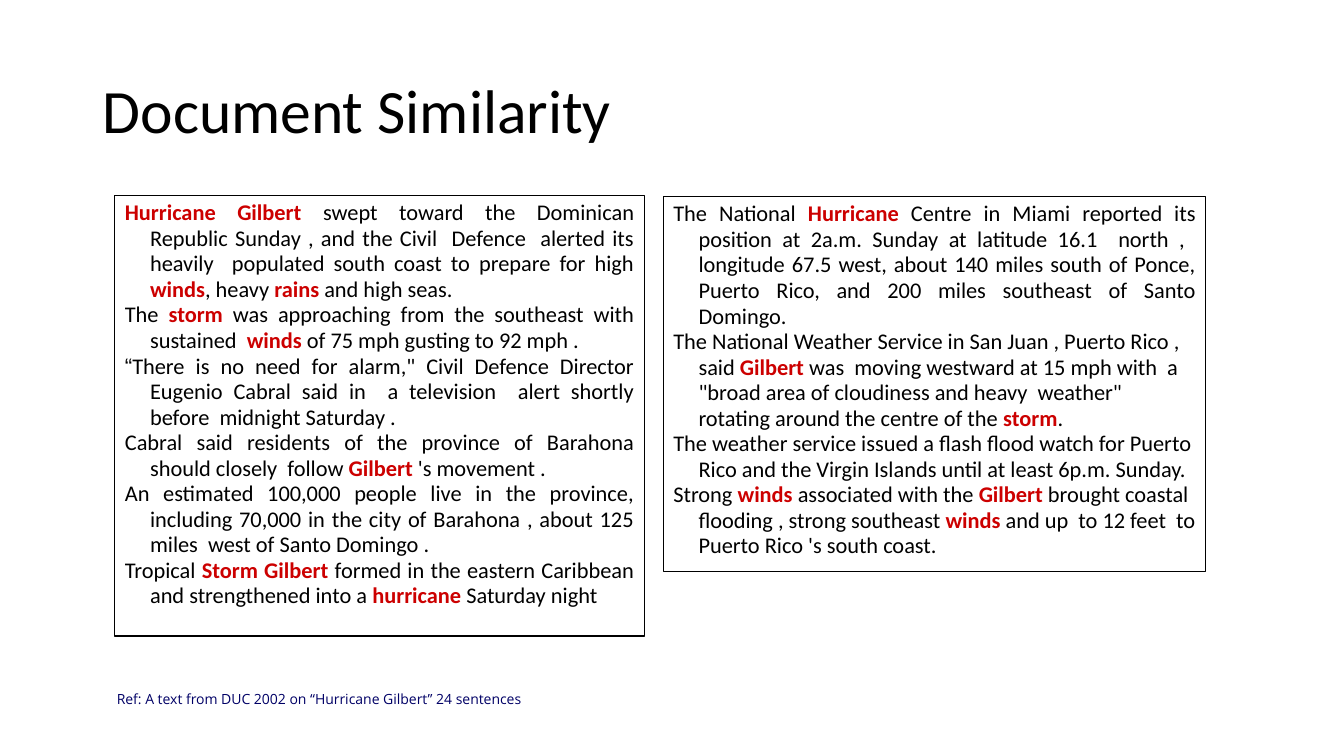
"""Build the Document Similarity slide with two passages and marked keywords."""
from pptx import Presentation
from pptx.dml.color import RGBColor
from pptx.enum.shapes import MSO_SHAPE
from pptx.enum.text import MSO_ANCHOR, PP_ALIGN
from pptx.util import Inches, Pt

BLACK = RGBColor(0x00, 0x00, 0x00)
RED = RGBColor(0xCC, 0x00, 0x00)
NAVY = RGBColor(0x00, 0x00, 0x66)
JUSTIFY, LEFT = PP_ALIGN.JUSTIFY, PP_ALIGN.LEFT

TITLE = "Document Similarity"
REFERENCE = "Ref: A text from DUC 2002 on “Hurricane Gilbert” 24 sentences"
KEYWORD_MARK = "*"
PASSAGES = [
    ((1.14, 1.94, 5.25, 4.37), [
        (JUSTIFY, "*Hurricane Gilbert *swept toward the Dominican Republic Sunday , and the Civil  Defence  "
                  "alerted its heavily  populated south coast to prepare for high *winds*, heavy *rains* "
                  "and high seas. "),
        (JUSTIFY, "The *storm *was approaching from the southeast with sustained  *winds* of 75 mph "
                  "gusting to 92 mph . "),
        (JUSTIFY, "“**There is no need for alarm,\" Civil Defence Director Eugenio Cabral said in  "
                  "a television  alert shortly before  midnight Saturday . "),
        (JUSTIFY, "Cabral said residents of the province of Barahona should closely  follow *Gilbert* "
                  "'s movement . "),
        (JUSTIFY, "An estimated 100,000 people live in the province, including 70,000 in the city of "
                  "Barahona , about 125 miles  west of Santo Domingo . "),
        (JUSTIFY, "Tropical *Storm Gilbert* formed in the eastern Caribbean and strengthened into a "
                  "*hurricane *Saturday night "),
    ]),
    ((6.58, 1.95, 5.38, 3.72), [
        (JUSTIFY, "The National *Hurricane* Centre in Miami reported its position at 2a.m. Sunday at "
                  "latitude 16.1  north ,  longitude 67.5 west, about 140 miles south of Ponce, "
                  "Puerto Rico, and 200 miles southeast of Santo Domingo. "),
        (LEFT, "The National Weather Service in San Juan , Puerto Rico , said *Gilbert* was  moving "
               "westward at 15 mph with  a \"broad area of cloudiness and heavy  weather\" rotating "
               "around the centre of the *storm*."),
        (LEFT, "The weather service issued a flash flood watch for Puerto Rico and the Virgin Islands "
               "until at least 6p.m. Sunday."),
        (LEFT, "Strong *winds* associated with the *Gilbert* brought coastal flooding , strong "
               "southeast *winds* and up  to 12 feet  to Puerto Rico 's south coast."),
    ]),
]


def write(sp, lines, size, font="Calibri", color=BLACK, spacing=0.95, hang=0, anchor=MSO_ANCHOR.TOP):
    tf = sp.text_frame
    tf.word_wrap = True
    tf.vertical_anchor = anchor
    for i, (align, line) in enumerate(lines):
        p = tf.paragraphs[0] if i == 0 else tf.add_paragraph()
        p.alignment = align
        p.line_spacing = spacing
        if hang:
            pPr = p._p.get_or_add_pPr()
            pPr.set("marL", str(Inches(hang)))
            pPr.set("indent", str(-Inches(hang)))
        for j, part in enumerate(line.split(KEYWORD_MARK)):
            if part:
                r = p.add_run()
                r.text = part
                r.font.name = "Arial" if part == "“" else font
                r.font.size = Pt(size)
                r.font.bold = j % 2 == 1
                r.font.color.rgb = RED if r.font.bold else color


def main():
    prs = Presentation()
    prs.slide_width, prs.slide_height = Inches(13.33), Inches(7.5)
    s = prs.slides.add_slide(prs.slide_layouts[6])

    title = s.shapes.add_textbox(*map(Inches, (0.92, 0.4, 11.5, 1.45)))
    write(title, [(LEFT, TITLE)], size=44, spacing=0.9, anchor=MSO_ANCHOR.MIDDLE)

    for frame, lines in PASSAGES:
        sp = s.shapes.add_shape(MSO_SHAPE.RECTANGLE, *map(Inches, frame))
        sp.shadow.inherit = False
        sp.fill.background()
        sp.line.color.rgb = BLACK
        sp.line.width = Pt(0.75)
        write(sp, lines, size=16, hang=0.25)

    reference = s.shapes.add_textbox(*map(Inches, (1.06, 6.81, 4.31, 0.43)))
    write(reference, [(LEFT, REFERENCE)], size=10, font="Open Sans", color=NAVY)
    prs.save("out.pptx")


if __name__ == "__main__":
    main()
